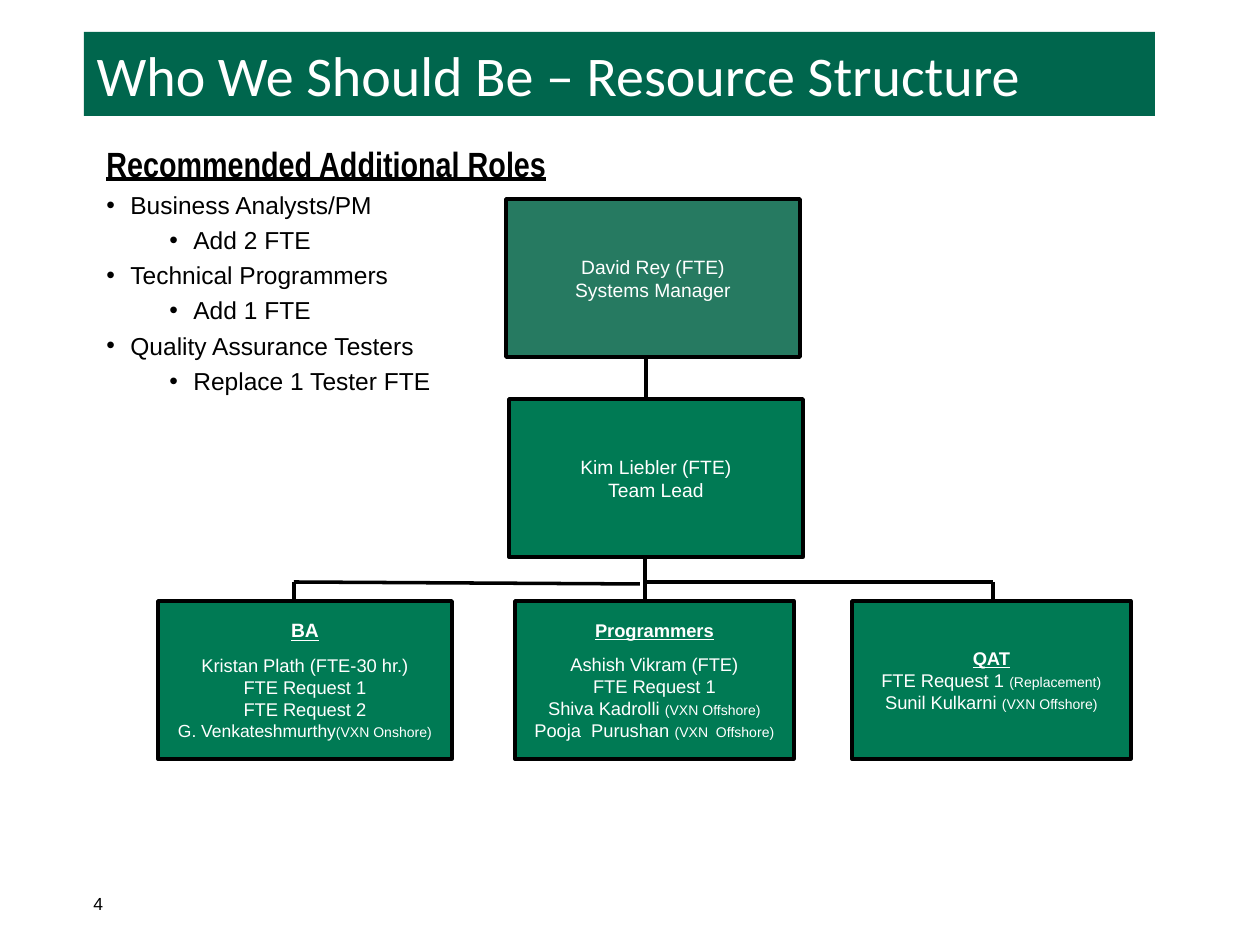
from lxml.etree import SubElement
from pptx import Presentation
from pptx.dml.color import RGBColor
from pptx.enum.shapes import MSO_CONNECTOR as Connector, MSO_SHAPE as Shape
from pptx.enum.text import MSO_ANCHOR as Anchor, MSO_AUTO_SIZE as AutoSize, PP_ALIGN as Align
from pptx.oxml.ns import qn
from pptx.util import Emu, Pt

PX_PER_INCH = 126
BLACK, WHITE = "000000", "FFFFFF"
BANNER_GREEN, MANAGER_GREEN, TEAM_GREEN = "00664D", "267A61", "007A54"
HEADING = {"bold": True, "underline": True}

ROLES = [
    ("Business Analysts/PM", "Add 2 FTE"),
    ("Technical Programmers", "Add 1 FTE"),
    ("Quality Assurance Testers", "Replace 1 Tester FTE"),
]
LEADERS = [
    ((506, 199, 294, 158), MANAGER_GREEN, ["David Rey (FTE)", "Systems Manager"]),
    ((509, 399, 294, 158), TEAM_GREEN, ["Kim Liebler (FTE)", "Team Lead"]),
]
TEAMS = [
    ((158, 601, 294, 158), "BA", 11, 7, [
        [("Kristan Plath (FTE-30 hr.)", 10.5)],
        [("FTE Request 1", 10.5)],
        [("FTE Request 2", 10.5)],
        [("G. Venkateshmurthy", 10), ("(VXN Onshore)", 8)],
    ]),
    ((515, 601, 279, 158), "Programmers", 10.5, 7, [
        [("Ashish Vikram (FTE)", 10.5)],
        [("FTE Request 1", 10.5)],
        [("Shiva Kadrolli ", 10.5), ("(VXN Offshore)", 8)],
        [("Pooja  Purushan ", 10.5), ("(VXN  Offshore)", 8)],
    ]),
    ((852, 601, 279, 158), "QAT", 10.5, 0, [
        [("FTE Request 1 ", 10.5), ("(Replacement)", 8)],
        [("Sunil Kulkarni ", 10.5), ("(VXN Offshore)", 8)],
    ]),
]
LINKS = [
    (646, 357, 646, 408),
    (645, 557, 645, 609),
    (640, 584, 294, 582),
    (294, 582, 294, 609),
    (993, 582, 645, 582),
    (993, 582, 993, 609),
]


def px(length):
    return Emu(round(length * 914400 / PX_PER_INCH))


def color(value):
    return RGBColor.from_string(value)


def apply_format(target, values):
    for name, value in values.items():
        setattr(target, name, value)


def place(shape, box):
    apply_format(shape, dict(zip(("left", "top", "width", "height"), map(px, box))))


def fill_shape(shape, value):
    shape.fill.solid()
    shape.fill.fore_color.rgb = color(value)


def set_line(line, value):
    line.color.rgb = color(value)
    line.width = Pt(2)


def add_run(paragraph, text, size, value, name="Arial", **style):
    run = paragraph.add_run()
    run.text = text
    apply_format(run.font, {"size": Pt(size), "name": name, **style})
    run.font.color.rgb = color(value)


def next_paragraph(frame):
    first = frame.paragraphs[0]
    return frame.add_paragraph() if first.runs else first


def add_text_box(slide, box):
    frame = slide.shapes.add_textbox(*map(px, box)).text_frame
    frame.word_wrap = True
    return frame


def add_title(slide, box):
    title = slide.shapes.title
    place(title, box)
    fill_shape(title, BANNER_GREEN)
    frame = title.text_frame
    apply_format(frame, {"auto_size": AutoSize.NONE, "vertical_anchor": Anchor.MIDDLE})
    paragraph = frame.paragraphs[0]
    paragraph.alignment = Align.LEFT
    add_run(paragraph, "Who We Should Be – Resource Structure", 32, WHITE, "Calibri")


def add_bullet(frame, text, level):
    paragraph = frame.add_paragraph()
    apply_format(paragraph, {"level": level, "space_before": Pt(3.3)})
    add_run(paragraph, text, 14, BLACK)
    properties = paragraph._p.get_or_add_pPr()
    properties.set("marL", str(px(24 + 63 * level)))
    properties.set("indent", str(px(-24)))
    SubElement(properties, qn("a:buFont"), typeface="Arial")
    SubElement(properties, qn("a:buChar"), char="•")


def add_roles(slide, box):
    frame = add_text_box(slide, box)
    heading = frame.paragraphs[0]
    heading.space_before = Pt(4)
    add_run(heading, "Recommended Additional Roles", 20, BLACK, "Arial Narrow", **HEADING)
    for role in ROLES:
        for level, text in enumerate(role):
            add_bullet(frame, text, level)


def add_link(slide, ends):
    link = slide.shapes.add_connector(Connector.STRAIGHT, *map(px, ends))
    set_line(link.line, BLACK)
    SubElement(link._element.spPr, qn("a:effectLst"))


def add_card(slide, box, fill):
    card = slide.shapes.add_shape(Shape.RECTANGLE, *map(px, box))
    card.shadow.inherit = False
    fill_shape(card, fill)
    set_line(card.line, BLACK)
    frame = card.text_frame
    apply_format(frame, {"word_wrap": True, "vertical_anchor": Anchor.MIDDLE})
    return frame


def add_card_line(frame, runs, gap=0, **style):
    paragraph = next_paragraph(frame)
    apply_format(paragraph, {"alignment": Align.CENTER, "space_before": Pt(gap)})
    for text, size in runs:
        add_run(paragraph, text, size, WHITE, **style)


def add_leader(slide, box, fill, lines):
    frame = add_card(slide, box, fill)
    for text in lines:
        add_card_line(frame, [(text, 11)])


def add_team(slide, box, name, size, gap, members):
    frame = add_card(slide, box, TEAM_GREEN)
    add_card_line(frame, [(name, size)], **HEADING)
    for index, runs in enumerate(members):
        add_card_line(frame, runs, 0 if index else gap)


def add_page_number(slide, box):
    frame = add_text_box(slide, box)
    add_run(frame.paragraphs[0], "4", 10, BLACK)


def main():
    presentation = Presentation()
    apply_format(presentation, {"slide_width": px(1260), "slide_height": px(945)})
    slide = presentation.slides.add_slide(presentation.slide_layouts[5])
    add_title(slide, (84, 32, 1071, 84))
    add_roles(slide, (94, 136, 1071, 693))
    for ends in LINKS:
        add_link(slide, ends)
    for leader in LEADERS:
        add_leader(slide, *leader)
    for team in TEAMS:
        add_team(slide, *team)
    add_page_number(slide, (81, 887, 231, 34))
    presentation.save("out.pptx")


if __name__ == "__main__":
    main()
